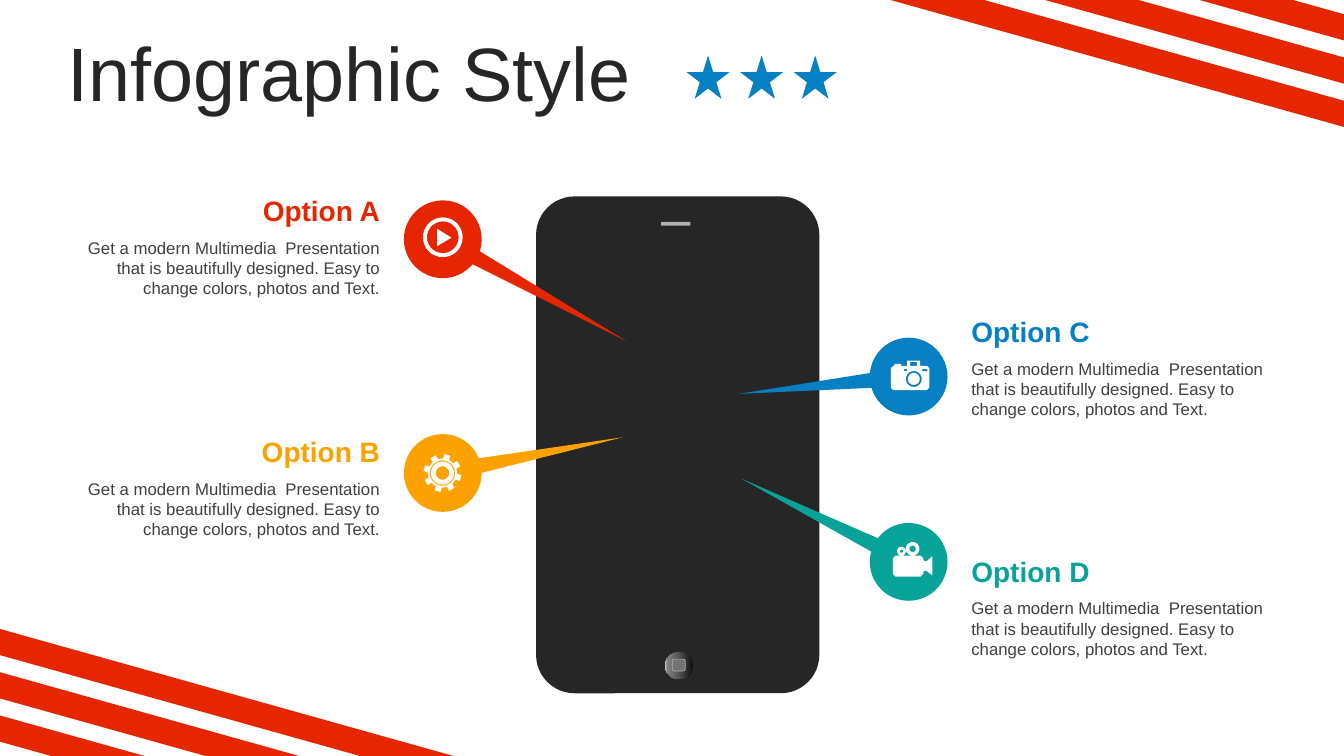
from math import cos, radians, sin

from lxml import etree
from pptx import Presentation
from pptx.dml.color import RGBColor
from pptx.enum.shapes import MSO_SHAPE
from pptx.enum.text import MSO_ANCHOR, MSO_AUTO_SIZE, PP_ALIGN
from pptx.oxml.ns import qn
from pptx.util import Cm, Pt

RECTANGLE, ROUNDED = MSO_SHAPE.RECTANGLE, MSO_SHAPE.ROUNDED_RECTANGLE
OVAL, STAR, CALLOUT = MSO_SHAPE.OVAL, MSO_SHAPE.STAR_5_POINT, MSO_SHAPE.OVAL_CALLOUT
LEFT, RIGHT = PP_ALIGN.LEFT, PP_ALIGN.RIGHT
MIDDLE, FIT_SHAPE, NO_FIT = MSO_ANCHOR.MIDDLE, MSO_AUTO_SIZE.SHAPE_TO_FIT_TEXT, MSO_AUTO_SIZE.NONE

# Content; all lengths are in centimetres
FONT = "Arial"
COLORS = {
    "red": "E62601", "orange": "FBA200", "blue": "0680C3", "teal": "07A398",
    "dark": "262626", "body": "404040", "white": "FFFFFF",
    "light grey": "B0B0B0", "button": "737373",
}
BUTTON_STOPS = [(0, "0F0F0F"), (56, "595959"), (91, "808080"), (100, "BFBFBF")]
TITLE = "Infographic Style"
DESCRIPTION = ("Get a modern Multimedia  Presentation that is beautifully designed. "
               "Easy to change colors, photos and Text.")
# Heading, colour, alignment, text left, text top, text width, callout left, callout top, pointer
OPTIONS = [
    ("Option A", "red", RIGHT, 1.68, 4.75, 8.15, 10.18, 5.05, (2.615, 0.653)),
    ("Option B", "orange", RIGHT, 1.68, 10.82, 8.15, 10.18, 10.94, (2.117, -1.043)),
    ("Option C", "blue", LEFT, 24.23, 7.8, 8.1, 21.92, 8.51, (-2.05, 0.78)),
    ("Option D", "teal", LEFT, 24.23, 13.84, 8.1, 21.92, 13.18, (-2.356, -0.478)),
]
WIDTH, HEIGHT = 33.87, 19.05
STRIPE_TOP, STRIPE_STEP, STRIPE_DEPTH, STRIPE_SLOPE = 15.85, 1.09, 0.66, 0.28
STAR_LEFT, STAR_TOP, STAR_SIZE, STAR_STEP = 17.3, 1.4, 1.09, 1.35
CALLOUT_SIZE = 1.96


# Outlines, each a list of points
def ring_point(x, y, radius, angle):
    return x + radius * cos(radians(angle)), y + radius * sin(radians(angle))


def circle(x, y, radius):
    return [ring_point(x, y, radius, angle) for angle in range(0, 360, 10)]


def box(left, top, right, bottom):
    return [(left, top), (right, top), (right, bottom), (left, bottom)]


def gear(x, y, root, tip, teeth=8, turn=15):
    profile = [(-12, root), (-9, tip), (9, tip), (12, root)]
    return [ring_point(x, y, radius, turn + 360 / teeth * tooth + offset)
            for tooth in range(teeth) for offset, radius in profile]


CAMERA_BODY = [
    (22.45, 9.28), (22.51, 9.22), (22.54, 9.22), (22.54, 9.17), (22.71, 9.17), (22.71, 9.22),
    (22.86, 9.22), (22.86, 9.09), (23.19, 9.09), (23.19, 9.22), (23.36, 9.22), (23.42, 9.28),
    (23.42, 9.77), (23.36, 9.83), (22.51, 9.83), (22.45, 9.77),
]
VIDEO_BODY = [
    (22.5, 14.07), (22.57, 14), (23.2, 14), (23.27, 14.07), (23.27, 14.12), (23.34, 14.15),
    (23.5, 14.02), (23.5, 14.5), (23.34, 14.38), (23.27, 14.4), (23.27, 14.46), (23.2, 14.53),
    (22.57, 14.53), (22.5, 14.46),
]
# Inner outlines cut holes in the outer ones
ICONS = [
    [circle(11.16, 5.98, 0.5), circle(11.16, 5.98, 0.4),
     [(11.02, 5.77), (11.38, 5.99), (11.02, 6.2)]],
    [gear(11.15, 11.92, 0.37, 0.48)] + [circle(11.15, 11.92, r) for r in (0.32, 0.29, 0.17)],
    [CAMERA_BODY, circle(23.03, 9.55, 0.2), circle(23.03, 9.55, 0.15),
     box(22.78, 9.3, 22.86, 9.35), box(23.24, 9.3, 23.37, 9.35), box(22.94, 9.12, 23.11, 9.22)],
    [VIDEO_BODY, circle(23, 13.83, 0.17), circle(23, 13.83, 0.08),
     circle(22.72, 13.89, 0.11), circle(22.72, 13.89, 0.04)],
]

presentation = Presentation()
presentation.slide_width, presentation.slide_height = Cm(WIDTH), Cm(HEIGHT)
slide = presentation.slides.add_slide(presentation.slide_layouts[5])


def rgb(color):
    return RGBColor.from_string(COLORS[color])


def paint(shape, color):
    shape.shadow.inherit = False
    shape.fill.solid()
    shape.fill.fore_color.rgb = rgb(color)
    shape.line.fill.background()
    return shape


def add_shape(kind, left, top, width, height, color):
    shape = slide.shapes.add_shape(kind, Cm(left), Cm(top), Cm(width), Cm(height))
    return paint(shape, color)


def add_outline(contours, color):
    contours = [[(Cm(x), Cm(y)) for x, y in contour] for contour in contours]
    builder = slide.shapes.build_freeform(*contours[0][0])
    for number, contour in enumerate(contours):
        if number:
            builder.move_to(*contour[0])
        builder.add_line_segments(contour[1:], close=True)
    return paint(builder.convert_to_shape(), color)


def write(frame, text, size, color, alignment, bold=False):
    frame.word_wrap = True
    paragraph = frame.paragraphs[0]
    paragraph.text = text
    paragraph.alignment = alignment
    paragraph.font.name, paragraph.font.size = FONT, Pt(size)
    paragraph.font.bold = bold
    paragraph.font.color.rgb = rgb(color)
    return paragraph


def add_text(left, top, width, height, *style):
    frame = slide.shapes.add_textbox(Cm(left), Cm(top), Cm(width), Cm(height)).text_frame
    write(frame, *style)
    frame.auto_size = FIT_SHAPE


# Phone
phone = add_shape(ROUNDED, 13.51, 4.95, 7.14, 12.52, "dark")
phone.adjustments[0] = 0.136
add_shape(RECTANGLE, 16.66, 5.59, 0.74, 0.1, "light grey")
home_button = add_shape(OVAL, 16.76, 16.43, 0.71, 0.69, "dark")
home_button.fill.gradient()
home_button.fill.gradient_angle = 180
stop_list = home_button._element.spPr.find(".//" + qn("a:gsLst"))
for stop in list(stop_list):
    stop_list.remove(stop)
for position, color in BUTTON_STOPS:
    stop = etree.SubElement(stop_list, qn("a:gs"), pos=str(position * 1000))
    etree.SubElement(stop, qn("a:srgbClr"), val=color)
button_mark = add_shape(ROUNDED, 16.94, 16.61, 0.33, 0.3, "button")
button_mark.line.color.rgb = rgb("light grey")
button_mark.line.width = Pt(0.5)

# Corner stripes, the top right set turned by half a circle
stripes = []
for index in range(3):
    upper = STRIPE_TOP + index * STRIPE_STEP
    lower = upper + STRIPE_DEPTH
    stripes.append([(0, upper), ((HEIGHT - upper) / STRIPE_SLOPE, HEIGHT),
                    ((HEIGHT - lower) / STRIPE_SLOPE, HEIGHT), (0, lower)])
add_outline(stripes, "red")
add_outline([[(WIDTH - x, HEIGHT - y) for x, y in stripe] for stripe in stripes], "red")

# Title and stars
title = slide.shapes.title
title.left, title.top, title.width, title.height = Cm(1.45), Cm(0.94), Cm(30.68), Cm(2.01)
title.text_frame.vertical_anchor = MIDDLE
title.text_frame.auto_size = NO_FIT
write(title.text_frame, TITLE, 54, "dark", LEFT).line_spacing = 0.9
for index in range(3):
    add_shape(STAR, STAR_LEFT + index * STAR_STEP, STAR_TOP, STAR_SIZE, STAR_SIZE, "blue")

# Options: callout, icon, heading and description
for option, icon in zip(OPTIONS, ICONS):
    heading, color, alignment, left, top, width, callout_left, callout_top, pointer = option
    callout = add_shape(CALLOUT, callout_left, callout_top, CALLOUT_SIZE, CALLOUT_SIZE, color)
    callout.rotation = 15
    callout.adjustments[0], callout.adjustments[1] = pointer
    add_outline(icon, "white")
    add_text(left, top, width, 1.12, heading, 20, color, alignment, True)
    add_text(left, top + 1.11, width, 1.8, DESCRIPTION, 12, "body", alignment)

presentation.save("out.pptx")
